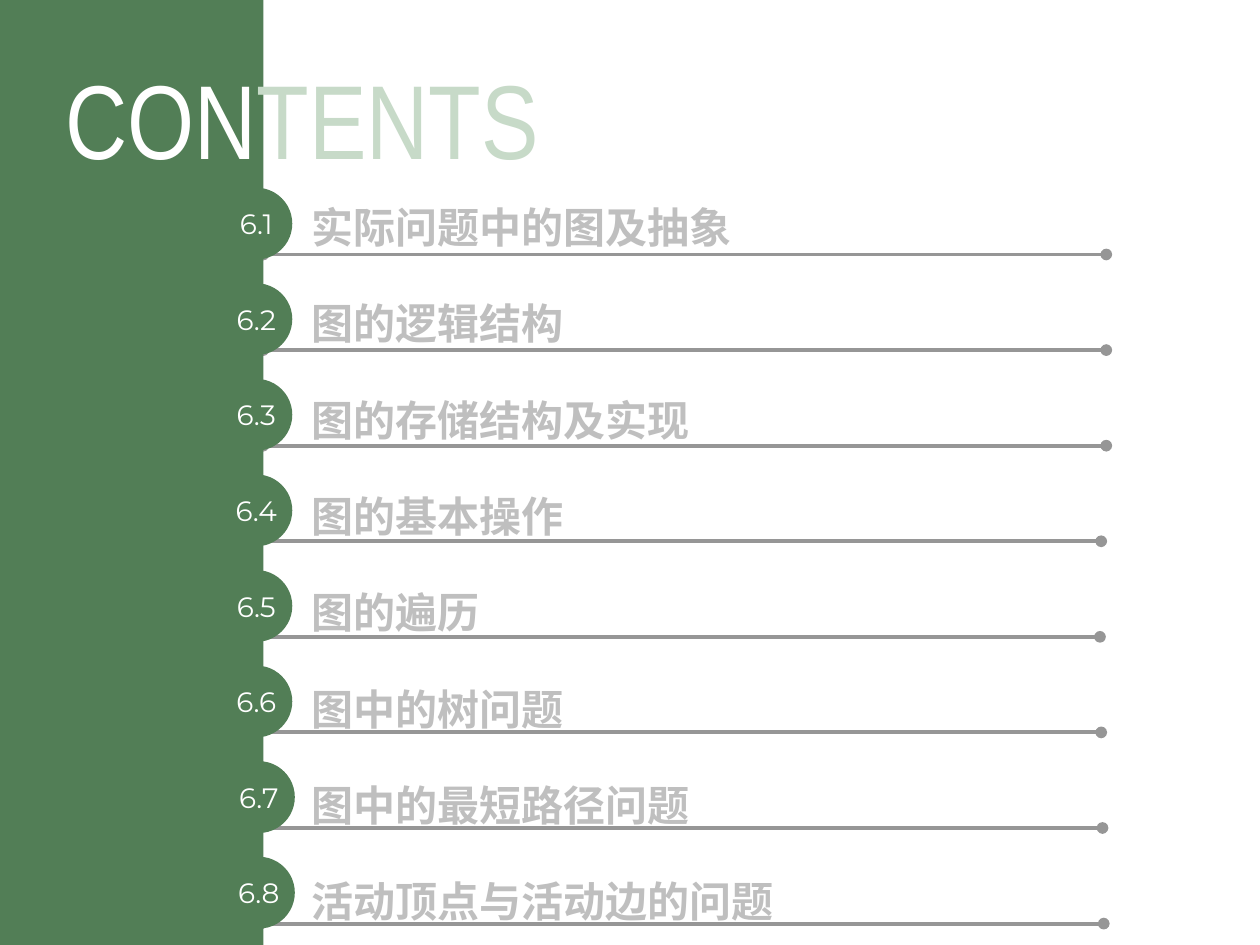
from lxml import etree
from pptx import Presentation
from pptx import util as u
from pptx.dml.color import RGBColor
from pptx.enum import shapes, text
from pptx.oxml.ns import qn

WIDTH, HEIGHT = 10, 7.5
GREEN, PALE_GREEN, WHITE = "527E56", "C7DAC8", "FFFFFF"
LINE_GRAY, TEXT_GRAY = "969696", "BFBFBF"
HEADING_FONT, NUMBER_FONT, TOPIC_FONT = "Arial Narrow", "Montserrat", "Noto Sans CJK SC"

TITLE_PARTS = [("CON", WHITE), ("TENTS", PALE_GREEN)]
# number, topic, badge left, rule left
TOPICS = [
    ("6.1", "实际问题中的图及抽象", 1.75, 2.09),
    ("6.2", "图的逻辑结构", 1.75, 2.09),
    ("6.3", "图的存储结构及实现", 1.75, 2.09),
    ("6.4", "图的基本操作", 1.75, 2.05),
    ("6.5", "图的遍历", 1.75, 2.04),
    ("6.6", "图中的树问题", 1.75, 2.05),
    ("6.7", "图中的最短路径问题", 1.77, 2.06),
    ("6.8", "活动顶点与活动边的问题", 1.77, 2.07),
]
PANEL_WIDTH = 2.09
BADGE_TOP, RULE_TOP, TOPIC_TOP = 1.49, 2.02, 1.6
ROW_PITCH = 5.31 / (len(TOPICS) - 1)
TOPIC_PITCH = 5.35 / (len(TOPICS) - 1)
BADGE_SIZE, RULE_LENGTH = 0.57, 6.69
TOPIC_LEFT, TOPIC_WIDTH, TOPIC_HEIGHT = 2.37, 4.31, 0.4


def color(value):
    return RGBColor.from_string(value)


def inches(*values):
    return [u.Inches(value) for value in values]


def style(paragraph, font_name, size, font_color, bold=False):
    font = paragraph.font
    font.name, font.size, font.bold = font_name, u.Pt(size), bold
    font.color.rgb = color(font_color)


def add_green_shape(slide, kind, *box):
    shape = slide.shapes.add_shape(kind, *inches(*box))
    shape.shadow.inherit = False
    shape.fill.solid()
    shape.fill.fore_color.rgb = color(GREEN)
    shape.line.fill.background()
    return shape


def add_rule(slide, left, top):
    rule = slide.shapes.add_connector(
        shapes.MSO_CONNECTOR.STRAIGHT, *inches(left, top, left + RULE_LENGTH, top))
    rule.line.color.rgb = color(LINE_GRAY)
    rule.line.width = u.Pt(2.25)
    line = rule.line._get_or_add_ln()
    for end in ("a:headEnd", "a:tailEnd"):
        etree.SubElement(line, qn(end), type="oval")
    etree.SubElement(rule.element.spPr, qn("a:effectLst"))


def add_topic(slide, topic, top):
    box = slide.shapes.add_textbox(*inches(TOPIC_LEFT, top, TOPIC_WIDTH, TOPIC_HEIGHT))
    frame = box.text_frame
    frame.word_wrap = True
    frame.vertical_anchor = text.MSO_ANCHOR.MIDDLE
    paragraph = frame.paragraphs[0]
    run = paragraph.add_run()
    run.text = topic
    style(paragraph, TOPIC_FONT, 24, TEXT_GRAY, bold=True)
    etree.SubElement(run.font._element, qn("a:ea"), typeface=TOPIC_FONT)


def add_badge(slide, number, left, top):
    badge = add_green_shape(
        slide, shapes.MSO_SHAPE.OVAL, left, top, BADGE_SIZE, BADGE_SIZE)
    frame = badge.text_frame
    frame.margin_left = frame.margin_right = frame.margin_top = frame.margin_bottom = 0
    frame.vertical_anchor = text.MSO_ANCHOR.MIDDLE
    paragraph = frame.paragraphs[0]
    paragraph.text = number
    paragraph.alignment = text.PP_ALIGN.CENTER
    style(paragraph, NUMBER_FONT, 16, WHITE)


def format_title(title):
    title.left, title.top, title.width, title.height = inches(-0.04, 0.35, 4.88, 1.16)
    frame = title.text_frame
    frame.auto_size = text.MSO_AUTO_SIZE.NONE
    frame.vertical_anchor = text.MSO_ANCHOR.MIDDLE
    paragraph = frame.paragraphs[0]
    paragraph.alignment = text.PP_ALIGN.CENTER
    style(paragraph, HEADING_FONT, 60, WHITE)
    for part, part_color in TITLE_PARTS:
        run = paragraph.add_run()
        run.text = part
        run.font.color.rgb = color(part_color)


def main():
    presentation = Presentation()
    presentation.slide_width, presentation.slide_height = inches(WIDTH, HEIGHT)
    slide = presentation.slides.add_slide(presentation.slide_layouts[5])

    for row, (_, topic, _, rule_left) in enumerate(TOPICS):
        add_rule(slide, rule_left, RULE_TOP + row * ROW_PITCH)
        add_topic(slide, topic, TOPIC_TOP + row * TOPIC_PITCH)

    panel = add_green_shape(slide, shapes.MSO_SHAPE.RECTANGLE, 0, 0, PANEL_WIDTH, HEIGHT)
    title = slide.shapes.title
    format_title(title)
    panel.element.addnext(title.element)

    for row, (number, _, badge_left, _) in enumerate(TOPICS):
        add_badge(slide, number, badge_left, BADGE_TOP + row * ROW_PITCH)

    presentation.save("out.pptx")


if __name__ == "__main__":
    main()
